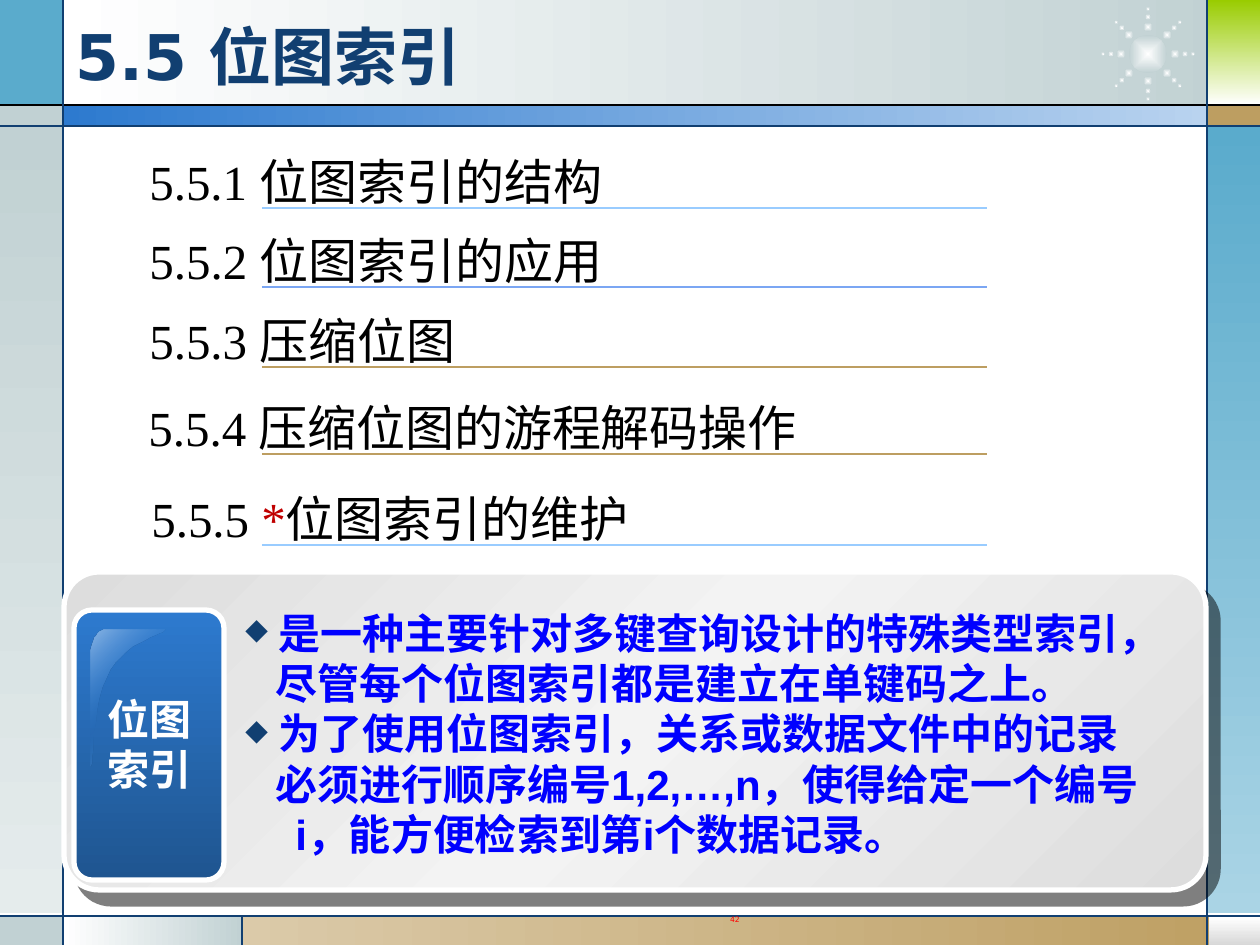
import math

from pptx import Presentation
from pptx import util as u
from pptx.dml.color import RGBColor
from pptx.enum import shapes, text
from pptx.oxml import parse_xml
from pptx.oxml.ns import nsdecls, qn

EMU_PER_PX = 914400 / 126
BLACK = RGBColor(0x00, 0x00, 0x00)
WHITE = RGBColor(0xFF, 0xFF, 0xFF)
NAVY = RGBColor(0x11, 0x3F, 0x71)
BLUE = RGBColor(0x2D, 0x7A, 0xCF)
DEEP_BLUE = RGBColor(0x1F, 0x55, 0x90)
GLOSS = RGBColor(0x8D, 0xB7, 0xE5)
PALE_BLUE = RGBColor(0xB9, 0xD3, 0xEF)
TEAL = RGBColor(0x5A, 0xAB, 0xCC)
PALE_TEAL = RGBColor(0xAA, 0xD4, 0xE5)
MIST = RGBColor(0xC1, 0xD1, 0xD3)
PALE_MIST = RGBColor(0xE5, 0xEC, 0xEC)
TAN = RGBColor(0xBD, 0x9E, 0x61)
PALE_TAN = RGBColor(0xDB, 0xCA, 0xA9)
GREEN = RGBColor(0x99, 0xCC, 0x00)
SILVER = RGBColor(0xD8, 0xD8, 0xD8)
CARD_EDGE = RGBColor(0xDD, 0xDD, 0xDD)
CARD_MIDDLE = RGBColor(0xF3, 0xF3, 0xF3)
SKY = RGBColor(0x99, 0xCC, 0xFF)
PERIWINKLE = RGBColor(0x7B, 0xA6, 0xF3)
TEXT_BLUE = RGBColor(0x00, 0x00, 0xFF)
STAR_RED = RGBColor(0xC0, 0x00, 0x00)
NUMBER_RED = RGBColor(0xFF, 0x00, 0x00)


def px(value):
    return u.Emu(round(value * EMU_PER_PX))


def gradient(colors, angle=None, clear_stop=None):
    """Evenly spaced stops; no angle means a fill that spreads from the centre."""
    stops = ""
    for i, color in enumerate(colors):
        alpha = '<a:alpha val="0"/>' if i == clear_stop else ""
        position = round(100000 * i / (len(colors) - 1))
        stops += f'<a:gs pos="{position}"><a:srgbClr val="{color}">{alpha}</a:srgbClr></a:gs>'
    if angle is None:
        way = ('<a:path path="rect"><a:fillToRect l="50000" t="50000" '
               'r="50000" b="50000"/></a:path>')
    else:
        way = f'<a:lin ang="{angle * 60000}" scaled="1"/>'
    return parse_xml(f'<a:gradFill {nsdecls("a")} rotWithShape="1">'
                     f'<a:gsLst>{stops}</a:gsLst>{way}</a:gradFill>')


def curve(start, first, second, end, steps=12):
    """Points on a cubic Bezier curve, without its start."""
    points = []
    for i in range(1, steps + 1):
        t = i / steps
        weights = ((1 - t) ** 3, 3 * t * (1 - t) ** 2, 3 * t * t * (1 - t), t ** 3)
        points.append(tuple(sum(w * p[axis] for w, p in zip(weights, (start, first, second, end)))
                            for axis in (0, 1)))
    return points


def write(paragraph, content, font="Arial", size=24, color=BLACK, bold=False):
    run = paragraph.add_run()
    run.text = content
    run.font.name = font
    run.font.size = u.Pt(size)
    run.font.color.rgb = color
    run.font.bold = bold


class SlideBuilder:
    def __init__(self, slide):
        self.shapes = slide.shapes

    def paint(self, shape, fill, outline=None):
        shape.shadow.inherit = False
        if isinstance(fill, RGBColor):
            shape.fill.solid()
            shape.fill.fore_color.rgb = fill
        else:
            shape.fill.gradient()
            properties = shape._element.spPr
            properties.replace(properties.find(qn("a:gradFill")), fill)
        if outline is None:
            shape.line.fill.background()
        else:
            shape.line.color.rgb = outline
            shape.line.width = u.Pt(3)
        return shape

    def preset(self, kind, box, fill, outline=None):
        return self.paint(self.shapes.add_shape(kind, *map(px, box)), fill, outline)

    def band(self, box, fill):
        return self.preset(shapes.MSO_SHAPE.RECTANGLE, box, fill)

    def dot(self, x, y, size):
        self.preset(shapes.MSO_SHAPE.OVAL, (x - size / 2, y - size / 2, size, size),
                    gradient((WHITE, MIST)))

    def rounded(self, box, radius, fill):
        shape = self.preset(shapes.MSO_SHAPE.ROUNDED_RECTANGLE, box, fill, WHITE)
        shape.adjustments[0] = radius
        return shape

    def outline(self, points, fill):
        builder = self.shapes.build_freeform(*points[0], scale=EMU_PER_PX)
        builder.add_line_segments(points[1:], close=True)
        return self.paint(builder.convert_to_shape(), fill)

    def drop_shadow(self, shape):
        effects = shape._element.spPr.find(qn("a:effectLst"))
        effects.append(parse_xml(
            f'<a:outerShdw {nsdecls("a")} dist="{u.Pt(10.6)}" dir="{49 * 60000}" algn="ctr" '
            f'rotWithShape="0"><a:srgbClr val="{BLACK}"><a:alpha val="50000"/>'
            '</a:srgbClr></a:outerShdw>'))

    def rule(self, x1, y1, x2, y2, color=NAVY):
        line = self.shapes.add_connector(shapes.MSO_CONNECTOR.STRAIGHT, *map(px, (x1, y1, x2, y2)))
        line.line.color.rgb = color
        line.line.width = u.Pt(0.75)
        line._element.spPr.append(parse_xml(f'<a:effectLst {nsdecls("a")}/>'))

    def text_box(self, box, anchor=text.MSO_ANCHOR.TOP):
        frame = self.shapes.add_textbox(*map(px, box)).text_frame
        frame.word_wrap = True
        frame.vertical_anchor = anchor
        return frame

    def lines(self, frame, contents, align=text.PP_ALIGN.LEFT, **style):
        for i, content in enumerate(contents):
            paragraph = frame.add_paragraph() if i else frame.paragraphs[0]
            paragraph.alignment = align
            write(paragraph, content, **style)
        return frame.paragraphs


def indent(paragraph, margin, bullet=False):
    properties = paragraph._p.get_or_add_pPr()
    properties.set("marL", str(px(margin)))
    properties.set("indent", str(px(-33 if bullet else 0)))
    if bullet:
        for element in (f'<a:buClr {nsdecls("a")}><a:srgbClr val="{NAVY}"/></a:buClr>',
                        f'<a:buSzPct {nsdecls("a")} val="70000"/>',
                        f'<a:buChar {nsdecls("a")} char="◆"/>'):
            properties.append(parse_xml(element))


def draw_frame(page):
    for box, fill in (
        ((63, 0, 1168, 105), gradient((WHITE, MIST), 0)),
        ((0, 0, 63, 105), TEAL),
        ((0, 105, 63, 21), MIST),
        ((0, 126, 63, 787), gradient((MIST, PALE_MIST), 90)),
        ((0, 917, 63, 28), MIST),
        ((63, 916, 180, 29), gradient((WHITE, MIST), 0)),
        ((242, 916, 1018, 29), gradient((PALE_TAN, TAN), 0)),
        ((1209, 917, 51, 28), gradient((WHITE, SILVER), 90)),
        ((1207, 126, 53, 787), gradient((TEAL, PALE_TEAL), 90)),
        ((1207, 105, 53, 21), TAN),
        ((1208, 0, 52, 105), gradient((GREEN, WHITE), 90)),
        ((63, 105, 1145, 21), gradient((BLUE, PALE_BLUE), 0)),
    ):
        page.band(box, fill)
    sun_x, sun_y = 1148, 54
    page.dot(sun_x, sun_y, 38)
    for ray in range(8):
        angle = ray * math.pi / 4
        for radius, size in ((27, 9), (37, 6), (45, 4)):
            page.dot(sun_x + radius * math.cos(angle), sun_y + radius * math.sin(angle), size)
    for y, color in ((105, BLACK), (126, NAVY), (916, NAVY)):
        page.rule(0, y, 1260, y, color)
    for x, top in ((63, 0), (1207, 0), (242, 916)):
        page.rule(x, top, x, 945)


def draw_contents(page):
    style = {"font": "Times New Roman", "size": 28}
    for x, y, width, color, parts in (
        (137, 208, 554, SKY, ("5.5.1 位图索引的结构",)),
        (137, 287, 866, PERIWINKLE, ("5.5.2 位图索引的应用",)),
        (137, 367, 430, TAN, ("5.5.3 压缩位图",)),
        (136, 454, 866, TAN, ("5.5.4 压缩位图的游程解码操作",)),
        (139, 545, 640, SKY, ("5.5.5 ", "*", "位图索引的维护")),
    ):
        paragraph = page.text_box((x, y - 63, width, 72)).paragraphs[0]
        for part in parts:
            write(paragraph, part, color=STAR_RED if part == "*" else BLACK, **style)
        page.rule(262, y, 987, y, color)


def draw_summary(page):
    card = page.rounded((64, 572, 1142, 318), 0.11,
                        gradient((CARD_EDGE, CARD_MIDDLE, CARD_EDGE), 45))
    page.drop_shadow(card)
    page.rounded((74, 610, 150, 270), 0.12, gradient((BLUE, DEEP_BLUE), 90))
    highlight = [(106, 630)]
    for bend in (((97, 630), (91, 643), (91, 658)),
                 ((91, 767), (91, 767), (91, 767)),
                 ((95, 769), (92, 702), (111, 670)),
                 ((130, 639), (165, 636), (165, 630))):
        highlight += curve(highlight[-1], *bend)
    page.outline(highlight, gradient((GLOSS, BLUE, GLOSS), 45, clear_stop=1))
    page.lines(page.text_box((84, 687, 132, 113)), ("位图", "索引"),
               align=text.PP_ALIGN.CENTER, color=WHITE, bold=True)
    notes = (
        ("是一种主要针对多键查询设计的特殊类型索引，", 42, True),
        ("尽管每个位图索引都是建立在单键码之上。", 39, False),
        ("为了使用位图索引，关系或数据文件中的记录", 42, True),
        ("必须进行顺序编号1,2,…,n，使得给定一个编号", 39, False),
        ("i，能方便检索到第i个数据记录。", 59, False),
    )
    paragraphs = page.lines(page.text_box((224, 601, 958, 265)), [note[0] for note in notes],
                            color=TEXT_BLUE, bold=True)
    for paragraph, (_, margin, bullet) in zip(paragraphs, notes):
        indent(paragraph, margin, bullet)


def main():
    presentation = Presentation()
    presentation.slide_width, presentation.slide_height = px(1260), px(945)
    page = SlideBuilder(presentation.slides.add_slide(presentation.slide_layouts[6]))
    draw_frame(page)
    number = page.lines(page.text_box((588, 911, 294, 24)), ("42",), align=text.PP_ALIGN.CENTER,
                        font="DejaVu Sans", size=4.3, color=NUMBER_RED)
    number[0].line_spacing = 0.8
    page.lines(page.text_box((63, 16, 1144, 78), anchor=text.MSO_ANCHOR.MIDDLE),
               ("5.5 位图索引",), font="DejaVu Sans", size=36, color=NAVY, bold=True)
    draw_contents(page)
    draw_summary(page)
    presentation.save("out.pptx")


if __name__ == "__main__":
    main()
